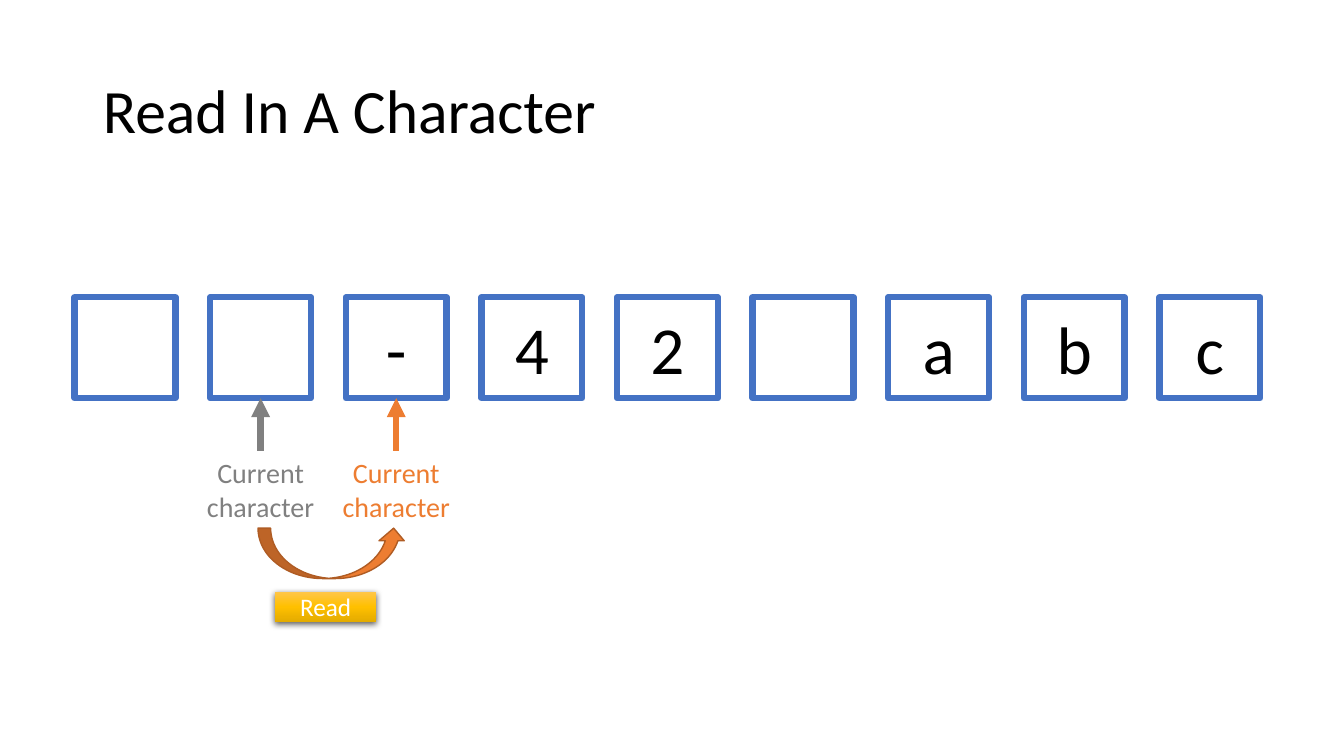
from copy import deepcopy

from pptx import Presentation
from pptx.dml.color import RGBColor
from pptx.enum.shapes import MSO_CONNECTOR as Line, MSO_SHAPE as Shape
from pptx.enum.text import MSO_ANCHOR as Anchor, MSO_AUTO_SIZE as Fit, PP_ALIGN as Align
from pptx.oxml import parse_xml
from pptx.oxml.ns import qn
from pptx.util import Inches, Pt

# Content
TITLE = "Read In A Character"
CELLS = ["", "", "-", "4", "2", "", "a", "b", "c"]
MARK = "Current\ncharacter"
MARKS = [(1, "gray"), (2, "orange")]  # cell index, colour
BUTTON = "Read"

FONT = "Calibri"
COLORS = {
    "black": "000000", "white": "FFFFFF", "blue": "4472C4",
    "gray": "808080", "orange": "ED7D31", "rust": "AF5C24",
}
GOLD = [(0, "FFC64B"), (0.5, "FFC000"), (1, "E3AB00")]

# Layout, in inches
LEFT, TOP, SIZE, STEP = 0.74, 2.95, 1, 1.345
MARK_TOP, MARK_W, MARK_H = 4.47, 1.28, 0.77

NS = 'xmlns:a="http://schemas.openxmlformats.org/drawingml/2006/main"'
SHADOW = (f'<a:effectLst {NS}><a:outerShdw blurRad="57150" dist="19050" dir="5400000" '
          'algn="ctr" rotWithShape="0"><a:srgbClr val="000000"><a:alpha val="63000"/>'
          '</a:srgbClr></a:outerShdw></a:effectLst>')


def color(name):
    return RGBColor.from_string(COLORS[name])


def write(shape, text, size, hue, align=Align.CENTER):
    frame = shape.text_frame
    frame.text = text
    for para in frame.paragraphs:
        para.alignment = align
        for run in para.runs:
            run.font.name, run.font.size = FONT, Pt(size)
            run.font.color.rgb = color(hue)
    return frame


def add_box(kind, x, y, w, h, fill, edge, width):
    box = slide.shapes.add_shape(kind, Inches(x), Inches(y), Inches(w), Inches(h))
    box.shadow.inherit = False
    box.fill.solid()
    box.fill.fore_color.rgb = color(fill)
    box.line.color.rgb = color(edge)
    box.line.width = Pt(width)
    return box


def add_mark(index, hue):
    mid = LEFT + index * STEP + SIZE / 2
    arrow = slide.shapes.add_connector(
        Line.STRAIGHT, Inches(mid), Inches(MARK_TOP), Inches(mid), Inches(TOP + SIZE))
    arrow.line.color.rgb = color(hue)
    arrow.line.width = Pt(4.5)
    arrow.line._get_or_add_ln().append(parse_xml(f'<a:tailEnd {NS} type="triangle"/>'))
    arrow._element.spPr.append(parse_xml(f"<a:effectLst {NS}/>"))

    label = slide.shapes.add_textbox(
        Inches(mid - MARK_W / 2), Inches(MARK_TOP), Inches(MARK_W), Inches(MARK_H))
    frame = write(label, MARK, 20, hue)
    frame.word_wrap = False
    frame.auto_size = Fit.SHAPE_TO_FIT_TEXT


def add_button():
    box = slide.shapes.add_shape(
        Shape.RECTANGLE, Inches(2.73), Inches(5.87), Inches(1), Inches(0.3))
    box.line.fill.background()
    box.fill.gradient()
    box.fill.gradient_angle = 270
    stops = box._element.spPr.find(".//" + qn("a:gsLst"))
    stops.insert(1, deepcopy(stops[0]))
    for stop, (place, tone) in zip(box.fill.gradient_stops, GOLD):
        stop.position = place
        stop.color.rgb = RGBColor.from_string(tone)
    box._element.spPr.append(parse_xml(SHADOW))
    write(box, BUTTON, 18, "white").vertical_anchor = Anchor.MIDDLE


deck = Presentation()
deck.slide_width, deck.slide_height = Inches(13.33), Inches(7.5)
slide = deck.slides.add_slide(deck.slide_layouts[5])

# Title
title = slide.shapes.title
title.left, title.top = Inches(0.92), Inches(0.4)
title.width, title.height = Inches(11.5), Inches(1.45)
head = write(title, TITLE, 44, "black", Align.LEFT)
head.vertical_anchor = Anchor.MIDDLE
head.paragraphs[0].line_spacing = 0.9

# Row of characters
for i, char in enumerate(CELLS):
    cell = add_box(Shape.RECTANGLE, LEFT + i * STEP, TOP, SIZE, SIZE, "white", "blue", 4.5)
    if char:
        write(cell, char, 48, "black").vertical_anchor = Anchor.MIDDLE

# Pointers to the old and new character
for index, hue in MARKS:
    add_mark(index, hue)

# Read step
add_box(Shape.CURVED_UP_ARROW, 2.56, 5.24, 1.47, 0.5, "orange", "rust", 1)
add_button()

deck.save("out.pptx")
